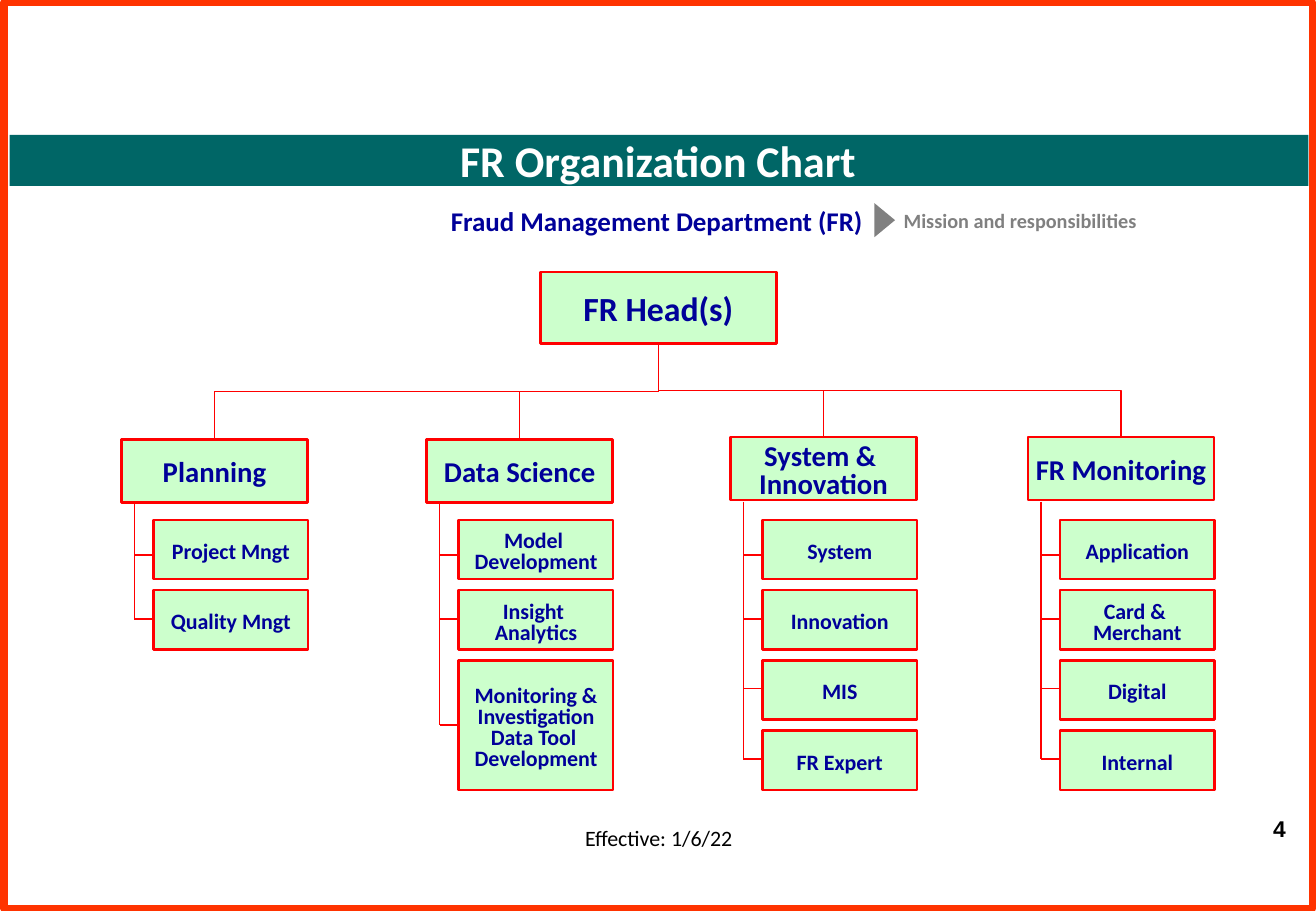
import pptx
import pptx.util
import pptx.dml.color
import pptx.enum.shapes
import pptx.enum.text
import pptx.oxml.ns
import lxml.etree

Cm = pptx.util.Cm
Pt = pptx.util.Pt
SHAPE = pptx.enum.shapes.MSO_SHAPE
CONNECTOR = pptx.enum.shapes.MSO_CONNECTOR
ALIGN = pptx.enum.text.PP_ALIGN
MIDDLE = pptx.enum.text.MSO_ANCHOR.MIDDLE

NAVY, RED, GREEN, TEAL, GREY = "000099", "FF0000", "CCFFCC", "006666", "808080"


def paint(colour_format, colour):
    """Set a fill's or font's colour from a hex string."""
    colour_format.rgb = pptx.dml.color.RGBColor.from_string(colour)


def write(frame, text, size, colour, align=ALIGN.CENTER, bold=True, font="Calibri", spacing=None):
    """Fill a text frame and format every run in it alike."""
    frame.text = text
    for paragraph in frame.paragraphs:
        paragraph.alignment = align
        paragraph.line_spacing = spacing
        for run in paragraph.runs:
            run.font.name = font
            run.font.size = Pt(size)
            run.font.bold = bold
            paint(run.font.color, colour)


prs = pptx.Presentation()
prs.slide_width, prs.slide_height = Cm(27.51), Cm(19.05)
slide = prs.slides.add_slide(prs.slide_layouts[5])
shapes = slide.shapes

# Title, frame, band and pointer
title = shapes.title
title.left, title.top, title.width, title.height = Cm(5.05), Cm(2.82), Cm(17.42), Cm(1.04)
write(title.text_frame, "FR Organization Chart", 26, "FFFFFF")
title.text_frame.vertical_anchor = MIDDLE
title.text_frame.auto_size = pptx.enum.text.MSO_AUTO_SIZE.NONE

frame = shapes.add_shape(SHAPE.RECTANGLE, Cm(0.08), Cm(0.05), Cm(27.36), Cm(18.95))
frame.shadow.inherit = False
frame.fill.background()
frame.line.width = Pt(4.5)
paint(frame.line.color, "FF3300")

band = shapes.add_shape(SHAPE.RECTANGLE, Cm(0.2), Cm(2.82), Cm(27.15), Cm(1.07))
pointer = shapes.add_shape(SHAPE.ISOSCELES_TRIANGLE, Cm(18.14), Cm(4.39), Cm(0.71), Cm(0.43))
pointer.rotation = 90
for plain, colour in [(band, TEAL), (pointer, GREY)]:
    plain.shadow.inherit = False
    plain.fill.solid()
    paint(plain.fill.fore_color, colour)
    plain.line.fill.background()
title._element.addprevious(frame._element)
title._element.addprevious(band._element)

# Free text: left, top, width, height, text, size, colour, alignment, bold, font, wrap
captions = [
    (0.74, 4.14, 26.11, 0.94, "Fraud Management Department (FR) ", 16, NAVY, ALIGN.CENTER, True, "Calibri", True),
    (18.64, 4.24, 5.46, 0.76, "Mission and responsibilities", 12, GREY, ALIGN.LEFT, True, "Calibri", False),
    (11.94, 17.12, 3.66, 0.81, "Effective: 1/6/22", 13, "000000", ALIGN.CENTER, False, "Calibri", False),
    (26.06, 16.92, 1.07, 0.81, "4", 13.5, "000000", ALIGN.RIGHT, True, "Arial", False),
]
for left, top, width, height, text, size, colour, align, bold, font, wrap in captions:
    caption = shapes.add_textbox(Cm(left), Cm(top), Cm(width), Cm(height))
    caption.text_frame.word_wrap = wrap
    if wrap:
        caption.text_frame.vertical_anchor = MIDDLE
    write(caption.text_frame, text, size, colour, align, bold, font)

# Sections: left, top, name, units
sections = [
    (2.54, 9.19, "Planning", ["Project Mngt", "Quality Mngt"]),
    (8.92, 9.19, "Data Science", [
        "Model \nDevelopment", "Insight \nAnalytics",
        "Monitoring &\n Investigation \nData Tool \nDevelopment"]),
    (15.27, 9.14, "System & \nInnovation", ["System", "Innovation", "MIS", "FR Expert"]),
    (21.49, 9.14, "FR Monitoring", ["Application", "Card & \nMerchant", "Digital", "Internal"]),
]
SECTION_W, SECTION_H = 3.89, 1.32
UNIT_TOP, UNIT_PITCH, UNIT_W, UNIT_H = 10.87, 1.47, 3.23, 1.24
UNIT_INDENT, SPINE_INDENT, SPINE_TOP = 0.67, 0.27, 10.49
BRANCHES = [11.6, 12.95, 14.4, 15.87]
HEAD_X, HEAD_BOTTOM = 13.77, 7.19

boxes = [(11.3, 5.69, 4.93, 1.5, "FR Head(s)", 20)]
lines = []
connectors = []
for left, top, name, units in sections:
    boxes.append((left, top, SECTION_W, SECTION_H, name, 17))

    # A vertical elbow is a horizontal one turned about its centre
    centre = left + SECTION_W / 2
    drop, span = top - HEAD_BOTTOM, abs(centre - HEAD_X)
    x = (centre + HEAD_X - drop) / 2
    y = (top + HEAD_BOTTOM - span) / 2
    to_left = centre < HEAD_X
    begin, end = (x, x + drop) if to_left else (x + drop, x)
    elbow = shapes.add_connector(CONNECTOR.ELBOW, Cm(begin), Cm(y), Cm(end), Cm(y + span))
    elbow._element.spPr.xfrm.set("rot", "5400000" if to_left else "16200000")
    connectors.append((elbow, 0.75))

    spine = left + SPINE_INDENT
    for row, unit in enumerate(units):
        unit_top = UNIT_TOP + row * UNIT_PITCH
        tall = unit.count("\n") > 1
        height = UNIT_H + UNIT_PITCH if tall else UNIT_H
        branch = unit_top + height / 2 if tall else BRANCHES[row]
        boxes.append((left + UNIT_INDENT, unit_top, UNIT_W, height, unit, 13))
        lines.append((left + UNIT_INDENT, branch, spine, branch))
    lines.append((spine, SPINE_TOP, spine, branch))

for left, top, width, height, text, size in boxes:
    box = shapes.add_shape(SHAPE.RECTANGLE, Cm(left), Cm(top), Cm(width), Cm(height))
    box.shadow.inherit = False
    box.fill.solid()
    paint(box.fill.fore_color, GREEN)
    paint(box.line.color, RED)
    box.line.width = Pt(1.5)
    label = box.text_frame
    label.word_wrap = False
    label.vertical_anchor = MIDDLE
    label.margin_left = label.margin_right = 0
    label.margin_top, label.margin_bottom = Cm(0.28), Cm(0.13)
    write(label, text, size, NAVY, spacing=0.8)

for x1, y1, x2, y2 in lines:
    line = shapes.add_connector(CONNECTOR.STRAIGHT, Cm(x1), Cm(y1), Cm(x2), Cm(y2))
    connectors.append((line, 1))

for connector, weight in connectors:
    paint(connector.line.color, RED)
    connector.line.width = Pt(weight)
    lxml.etree.SubElement(connector._element.spPr, pptx.oxml.ns.qn("a:effectLst"))

prs.save("out.pptx")
